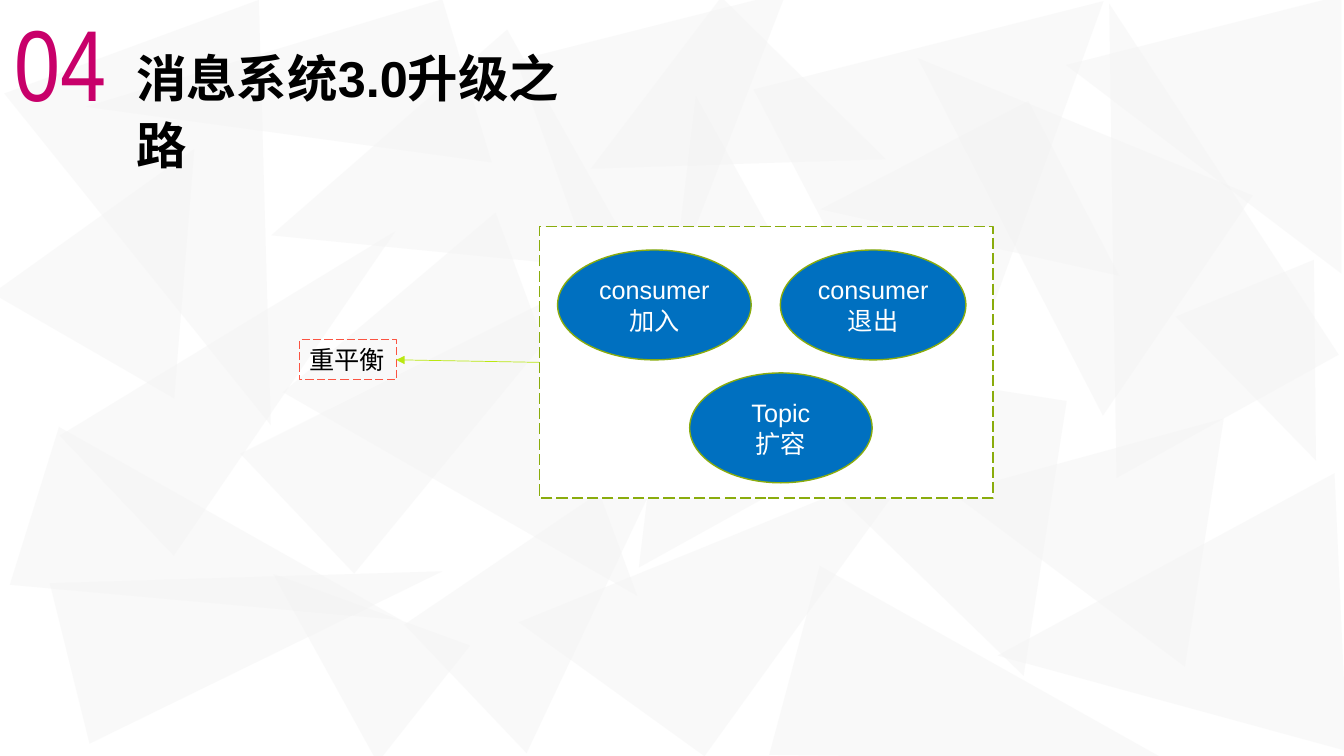
from pptx import Presentation
from pptx.dml.color import RGBColor
from pptx.enum.dml import MSO_LINE
from pptx.enum.shapes import MSO_CONNECTOR, MSO_SHAPE
from pptx.enum.text import MSO_ANCHOR, MSO_AUTO_SIZE, PP_ALIGN
from pptx.oxml.ns import qn
from pptx.util import Inches, Pt
from lxml.etree import SubElement

FACETS = [
    (1.34, 3.68, 1.64, 3.81, 107.3, 0.5),
    (1.72, 4.22, 1.64, 3.81, 76.1, 0.5),
    (0.65, 0.34, 2.69, 4, 159.8, 0.5),
    (1.72, 1.7, 1.64, 3.81, 46.5, 0.5),
    (4.89, 4.15, 1.76, 3.18, 46.5, 0.3),
    (3.71, 2.55, 2.76, 3.81, 139.8, 0.5),
    (9.44, 3.91, 2.49, 2.55, 278.9, 0.54),
    (7.06, 3.09, 2.76, 3.9, 278.9, 1),
    (5.99, 3.56, 2.27, 3.62, 35.8, 1),
    (9.91, 0.24, 2.52, 4.15, 331, 0.88),
    (5.24, 1.39, 2.76, 3.81, 331, 1),
    (6.08, 0.47, 2.29, 2.12, 224.6, 0.88),
    (7.9, 0.39, 3.58, 3.91, 165.8, 0.74),
    (5.5, 0.21, 2.76, 3.42, 165.8, 0.88),
    (3, 0.72, 2.76, 3.04, 240.7, 0.77),
    (10.21, 4.44, 2.76, 3.42, 267.4, 0.4),
    (-0.35, 1.7, 2.48, 1.88, 274.6, 0.36),
    (2.02, -0.51, 1.69, 3.69, 253.2, 1),
    (10.56, -0.03, 2.76, 2.73, 270, 0.75),
    (3.51, 1.88, 1.64, 3.81, 46.5, 0.71),
    (8.75, 5.14, 1.94, 3.81, 105, 0.5),
    (11.96, 2.79, 1.48, 1.85, 157.6, 0.5),
    (2.69, 5.39, 1.48, 1.97, 308.3, 0.56),
    (8.91, 0.29, 2.64, 3.51, 304.2, 0.72),
    (8.46, 1.43, 2.32, 1.95, 152.5, 0),
]
EVENTS = [
    ("consumer\n加入", 0.18, 0.23, 1.92),
    ("consumer\n退出", 2.39, 0.23, 1.84),
    ("Topic\n扩容", 1.49, 1.45, 1.81),
]


def color(code):
    return RGBColor.from_string(code)


def inches(box):
    return [Inches(n) for n in box]


def stroke(line, code, width, dash=None):
    line.color.rgb = color(code)
    line.width = Pt(width)
    if dash:
        line.dash_style = dash


def shape(shapes, kind, box, fill=None):
    item = shapes.add_shape(kind, *inches(box))
    item.shadow.inherit = False
    if fill:
        item.fill.solid()
        item.fill.fore_color.rgb = color(fill)
    else:
        item.fill.background()
    return item


def write(item, text, size, code, align, font="Arial", bold=False):
    frame = item.text_frame
    frame.text = text
    for para in frame.paragraphs:
        para.alignment = align
        for run in para.runs:
            run.font.name = font
            run.font.size = Pt(size)
            run.font.bold = bold
            run.font.color.rgb = color(code)
    return frame


def bare(frame, anchor):
    frame.margin_left = frame.margin_right = 0
    frame.margin_top = frame.margin_bottom = 0
    frame.word_wrap = False
    frame.auto_size = MSO_AUTO_SIZE.NONE
    frame.vertical_anchor = anchor


def backdrop(slide):
    group = slide.shapes.add_group_shape()
    for *box, angle, apex in FACETS:
        facet = shape(group.shapes, MSO_SHAPE.ISOSCELES_TRIANGLE, box, "F2F2F2")
        facet.line.fill.background()
        facet.rotation = angle
        facet.adjustments[0] = apex
        tint = next(facet.element.iter(qn("a:srgbClr")))
        SubElement(tint, qn("a:alpha"), val="42000")


def header(slide, left, top):
    number = slide.shapes.add_textbox(*inches((left, top, 1.2, 1.2)))
    frame = write(number, "04", 72, "C8006A", PP_ALIGN.CENTER, "Arial Narrow")
    bare(frame, MSO_ANCHOR.MIDDLE)
    title = slide.shapes.title
    title.left, title.top, title.width, title.height = inches(
        (left + 1.35, top + 0.4, 4.37, 0.8))
    frame = write(title, "消息系统3.0升级之路", 36, "000000", PP_ALIGN.LEFT, bold=True)
    bare(frame, MSO_ANCHOR.TOP)
    frame.paragraphs[0].line_spacing = 1.1
    frame.paragraphs[0].space_before = Pt(0)
    title.element.getparent().append(title.element)


def triggers(slide, left, top, width, height):
    panel = shape(slide.shapes, MSO_SHAPE.RECTANGLE, (left, top, width, height), "FFFFFF")
    stroke(panel.line, "8AAC0D", 1, MSO_LINE.LONG_DASH)
    for text, dx, dy, wide in EVENTS:
        oval = shape(slide.shapes, MSO_SHAPE.OVAL, (left + dx, top + dy, wide, 1.09), "0070C0")
        stroke(oval.line, "8AAC0D", 1)
        frame = write(oval, text, 18, "FFFFFF", PP_ALIGN.CENTER)
        frame.vertical_anchor = MSO_ANCHOR.MIDDLE
    return panel


def result(slide, box):
    label = shape(slide.shapes, MSO_SHAPE.RECTANGLE, box)
    stroke(label.line, "FB5442", 0.75, MSO_LINE.LONG_DASH)
    frame = write(label, "重平衡", 18, "000000", PP_ALIGN.LEFT)
    frame.word_wrap = False
    frame.auto_size = MSO_AUTO_SIZE.SHAPE_TO_FIT_TEXT
    frame.vertical_anchor = MSO_ANCHOR.TOP
    return label


def arrow(slide, start, end):
    link = slide.shapes.add_connector(MSO_CONNECTOR.STRAIGHT, 0, 0, 0, 0)
    link.begin_connect(start, 1)
    link.end_connect(end, 3)
    stroke(link.line, "BAE811", 0.5)
    SubElement(link.line._get_or_add_ln(), qn("a:tailEnd"), type="triangle")
    SubElement(link.element.spPr, qn("a:effectLst"))


def main():
    deck = Presentation()
    deck.slide_width, deck.slide_height = inches((13.33, 7.5))
    slide = deck.slides.add_slide(deck.slide_layouts[5])
    backdrop(slide)
    header(slide, 0, 0.01)
    panel = triggers(slide, 5.35, 2.25, 4.5, 2.69)
    label = result(slide, (2.97, 3.37, 0.96, 0.4))
    arrow(slide, panel, label)
    deck.save("out.pptx")


if __name__ == "__main__":
    main()
